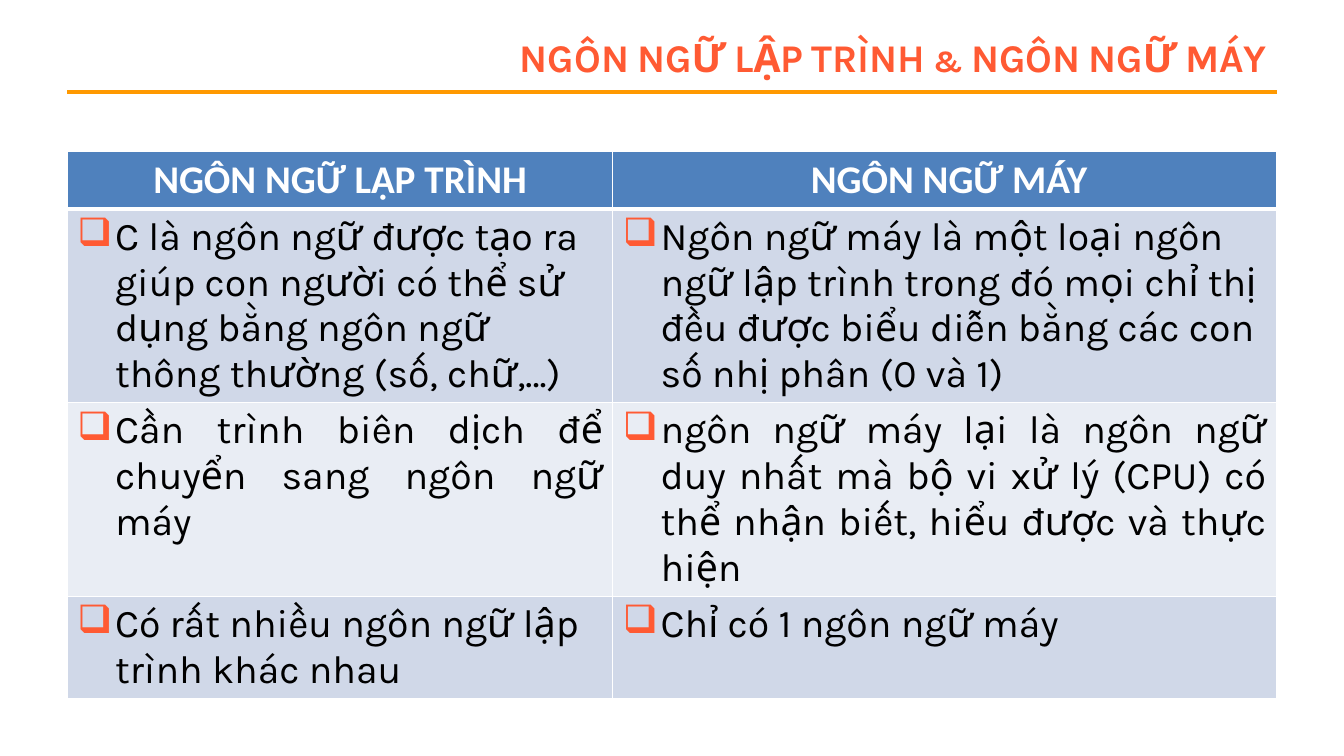
from lxml import etree
from pptx import Presentation
from pptx.dml.color import RGBColor
from pptx.enum import shapes, text
from pptx.oxml import ns
from pptx.util import Pt

# Content
HEADING = "NGÔN NGỮ LẬP TRÌNH & NGÔN NGỮ MÁY"
HEADERS = ["NGÔN NGỮ LẬP TRÌNH", " NGÔN NGỮ MÁY"]
LEFT, JUSTIFY = text.PP_ALIGN.LEFT, text.PP_ALIGN.JUSTIFY
COMPARISON = [
    # (alignment, row fill, row height, texts)
    (LEFT, "D0D8E8", 138, [
        "C\u00a0là ngôn ngữ được tạo ra giúp con người có thể sử dụng bằng "
        "ngôn ngữ thông thường (số, chữ,…)",
        "Ngôn ngữ máy là một loại ngôn ngữ lập trình trong đó mọi chỉ thị "
        "đều được biểu diễn bằng các con số nhị phân (0 và 1)"]),
    (JUSTIFY, "E9EDF4", 138, [
        "Cần trình biên dịch để chuyển sang ngôn ngữ máy",
        "ngôn ngữ máy lại là ngôn ngữ duy nhất mà bộ vi xử lý (CPU) có thể "
        "nhận biết, hiểu được và thực hiện"]),
    (LEFT, "D0D8E8", 73, [
        "Có rất nhiều ngôn ngữ lập trình khác nhau",
        "Chỉ có 1 ngôn ngữ máy"]),
]
ACCENT, RULE, HEADER_FILL, WHITE, BLACK = "FF5A33", "FF9900", "4F81BD", "FFFFFF", "000000"
COLUMN_WIDTHS = [389.75, 474]
HEADER_HEIGHT = 41
MARGIN = 48


def color(hex_value):
    return RGBColor.from_string(hex_value)


def add_xml(parent, tag, **attributes):
    return etree.SubElement(parent, ns.qn(tag), attributes)


def add_text(paragraph, words, font, fill, bold, align):
    paragraph.alignment = align
    run = paragraph.add_run()
    run.text = words
    run.font.name, run.font.size, run.font.bold = font, Pt(28), bold
    run.font.color.rgb = color(fill)
    return run


def add_bullet(paragraph):
    props = paragraph._p.get_or_add_pPr()
    props.set("marL", str(Pt(27)))
    props.set("indent", str(Pt(-27)))
    add_xml(add_xml(props, "a:spcBef"), "a:spcPct", val="20000")
    add_xml(add_xml(props, "a:buClr"), "a:srgbClr", val=ACCENT)
    add_xml(props, "a:buChar", char="❑")


def style_cell(cell, fill, top=1, bottom=1):
    cell.fill.solid()
    cell.fill.fore_color.rgb = color(fill)
    props = cell._tc.get_or_add_tcPr()
    edges = [("a:lnL", 1), ("a:lnR", 1), ("a:lnT", top), ("a:lnB", bottom)]
    for position, (tag, width) in enumerate(edges):
        edge = add_xml(props, tag, w=str(Pt(width)))
        add_xml(add_xml(edge, "a:solidFill"), "a:srgbClr", val=WHITE)
        props.insert(position, edge)  # borders come before the fill


prs = Presentation()
prs.slide_width, prs.slide_height = Pt(960), Pt(540)
slide = prs.slides.add_slide(prs.slide_layouts[5])

# Rule under the title
rule = slide.shapes.add_connector(
    shapes.MSO_CONNECTOR.STRAIGHT, Pt(MARGIN), Pt(66), Pt(912), Pt(66))
rule.line.color.rgb = color(RULE)
rule.line.width = Pt(3)
add_xml(rule._element.spPr, "a:effectLst")

# Title
title = slide.shapes.title
title.left, title.top, title.width, title.height = Pt(216), Pt(21.6), Pt(695.5), Pt(38)
title.text_frame.vertical_anchor = text.MSO_ANCHOR.MIDDLE
heading = add_text(title.text_frame.paragraphs[0], HEADING, "Karla", ACCENT, True,
                   text.PP_ALIGN.RIGHT)
heading.font._element.set("cap", "small")

# Comparison table
heights = [HEADER_HEIGHT] + [row[2] for row in COMPARISON]
table = slide.shapes.add_table(
    len(heights), len(HEADERS), Pt(MARGIN), Pt(108),
    Pt(sum(COLUMN_WIDTHS)), Pt(sum(heights))).table
for column, width in zip(table.columns, COLUMN_WIDTHS):
    column.width = Pt(width)
for row, height in zip(table.rows, heights):
    row.height = Pt(height)

for c, header in enumerate(HEADERS):
    cell = table.cell(0, c)
    style_cell(cell, HEADER_FILL, bottom=3)
    add_text(cell.text_frame.paragraphs[0], header, "Calibri", WHITE, True,
             text.PP_ALIGN.CENTER)

for r, (align, fill, _, statements) in enumerate(COMPARISON, 1):
    for c, statement in enumerate(statements):
        cell = table.cell(r, c)
        style_cell(cell, fill, top=3 if r == 1 else 1)
        paragraph = cell.text_frame.paragraphs[0]
        add_text(paragraph, statement, "Karla", BLACK, False, align)
        add_bullet(paragraph)

prs.save("out.pptx")
